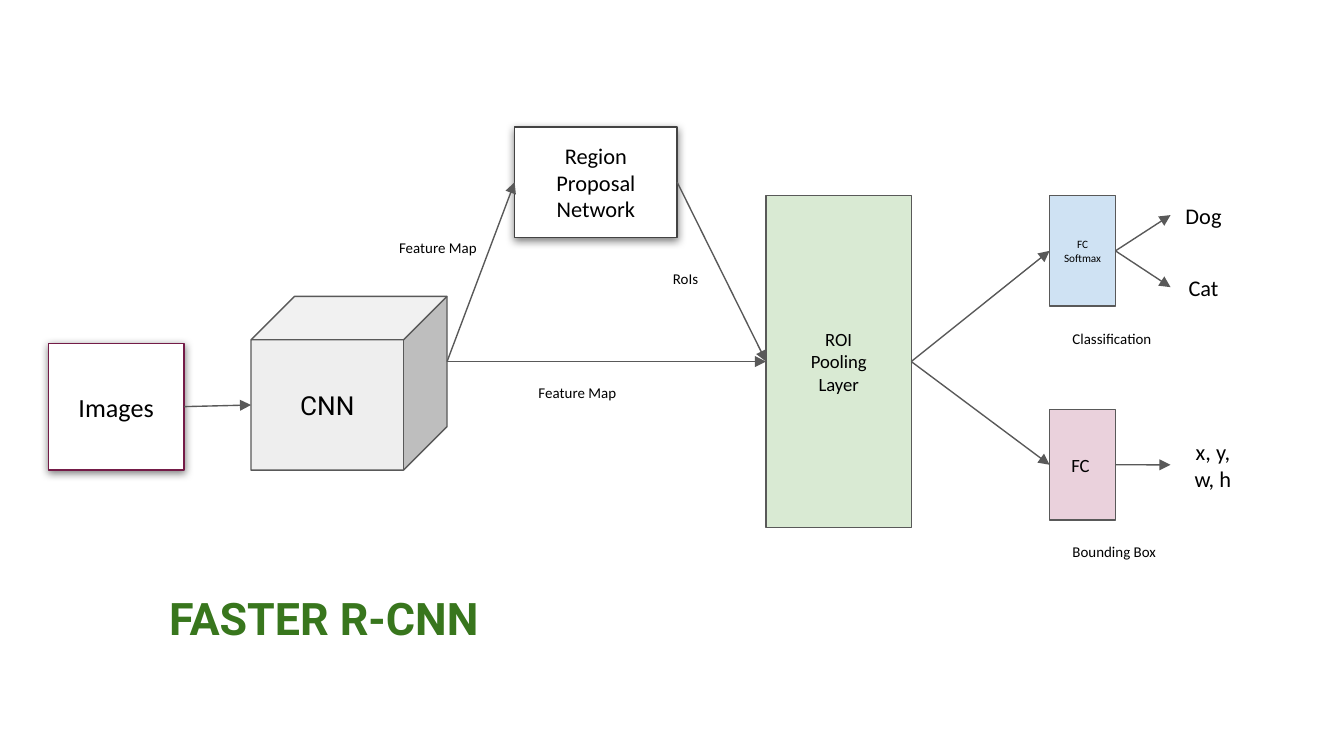
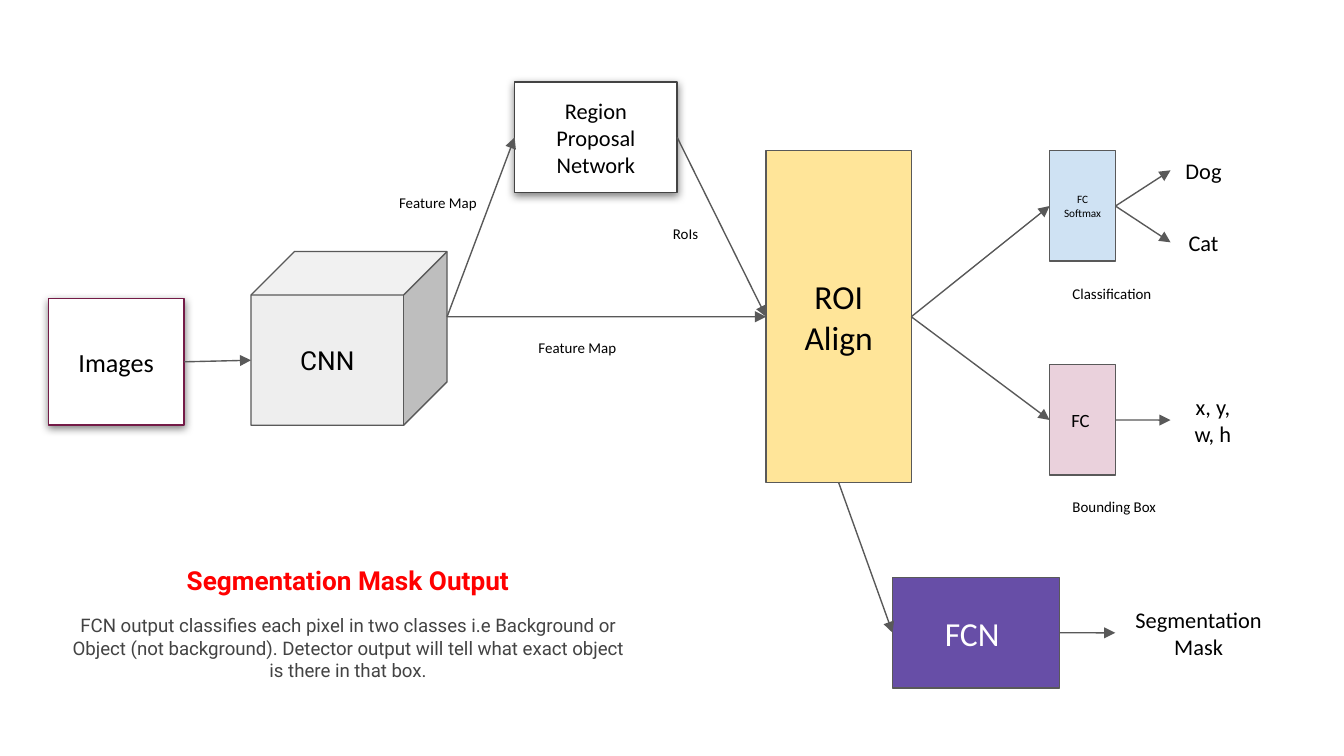
from dataclasses import dataclass, replace
from enum import IntEnum
from typing import Optional

from lxml.etree import SubElement
from pptx import Presentation
from pptx.dml.color import RGBColor
from pptx.enum.shapes import MSO_CONNECTOR as Connector, MSO_SHAPE as Preset
from pptx.enum.text import MSO_ANCHOR as Anchor, PP_ALIGN as Align
from pptx.oxml.ns import qn
from pptx.util import Pt

# Shared colours
WHITE = RGBColor(0xFF, 0xFF, 0xFF)
BLACK = RGBColor(0x00, 0x00, 0x00)
GRAY = RGBColor(0x59, 0x59, 0x59)
DARK_GRAY = RGBColor(0x43, 0x43, 0x43)
LIGHT_GRAY = RGBColor(0xEE, 0xEE, 0xEE)
PLUM = RGBColor(0x74, 0x1B, 0x47)
BLUE = RGBColor(0xCF, 0xE2, 0xF3)
PINK = RGBColor(0xEA, 0xD1, 0xDC)
GREEN = RGBColor(0xD9, 0xEA, 0xD3)
YELLOW = RGBColor(0xFF, 0xE5, 0x99)
PURPLE = RGBColor(0x67, 0x4E, 0xA7)
TITLE_GREEN = RGBColor(0x38, 0x76, 0x1D)
RED = RGBColor(0xFF, 0x00, 0x00)

# Shared measures, in points
LINE_WIDTH = 0.75
INSET = 7.2
LABEL_HEIGHT = 20.9
HEAD_WIDTH, BLOCK_HEIGHT = 35.3, 59.2
HEAD_LEFT, OUTPUT_LEFT, CAPTION_LEFT = 562.3, 627.1, 567.4
CUBE_DEPTH = 0.25
MASK_SHIFT = -24


class Side(IntEnum):
    TOP = 0
    LEFT = 1
    BOTTOM = 2
    RIGHT = 3


@dataclass(frozen=True)
class Style:
    size: float
    font: str = "Calibri"
    color: RGBColor = BLACK
    bold: bool = False
    align: Align = Align.CENTER
    space_before: float = 0


@dataclass(frozen=True)
class Part:
    """A block, or a plain label when it has no fill."""
    name: str
    left: float
    top: float
    width: float
    height: float
    text: str
    styles: tuple[Style, ...]
    fill: Optional[RGBColor] = None
    line: RGBColor = GRAY
    preset: Preset = Preset.RECTANGLE
    shadow: bool = False


@dataclass(frozen=True)
class Arrow:
    start: str
    start_side: Side
    end: str
    end_side: Side


INPUT_STYLE = (Style(14),)
CUBE_STYLE = (Style(14, "Roboto"),)
OUTPUT_STYLE = (Style(12),)
CAPTION_STYLE = (Style(8),)
LEFT_CAPTION_STYLE = (Style(8, align=Align.LEFT),)
BIG_STYLE = (Style(18),)

# The pipeline both slides show, at its height on the first one
PIPELINE = (
    Part("images", 25.9, 183.9, 72.7, 67.9, "Images", INPUT_STYLE, WHITE, PLUM, shadow=True),
    Part("cnn", 134.5, 158.8, 105, 93.1, "CNN", CUBE_STYLE, LIGHT_GRAY, preset=Preset.CUBE),
    Part("proposal", 275.7, 68, 87.1, BLOCK_HEIGHT, "Region Proposal Network",
         OUTPUT_STYLE, WHITE, DARK_GRAY, shadow=True),
    Part("roi", 410.4, 104.8, 77.8, 177.8, "ROI\nPooling\nLayer", (Style(10),), GREEN),
    Part("softmax", HEAD_LEFT, 104.8, HEAD_WIDTH, BLOCK_HEIGHT, "FC Softmax", (Style(6),), BLUE),
    Part("box head", HEAD_LEFT, 219.4, HEAD_WIDTH, BLOCK_HEIGHT, "FC ", (Style(10),), PINK),
    Part("dog", OUTPUT_LEFT, 104.8, HEAD_WIDTH, LABEL_HEIGHT, "Dog", OUTPUT_STYLE),
    Part("cat", OUTPUT_LEFT, 143.4, HEAD_WIDTH, LABEL_HEIGHT, "Cat", OUTPUT_STYLE),
    Part("box", OUTPUT_LEFT, 238.6, 45.4, LABEL_HEIGHT, "x, y, w, h", OUTPUT_STYLE),
    Part("box caption", CAPTION_LEFT, 285, 87.1, LABEL_HEIGHT, "Bounding Box", LEFT_CAPTION_STYLE),
    Part("class caption", CAPTION_LEFT, 171, 87.1, LABEL_HEIGHT, "Classification",
         LEFT_CAPTION_STYLE),
    Part("roi caption", 344.6, 138.5, 45.4, LABEL_HEIGHT, "RoIs", CAPTION_STYLE),
    Part("lower map", 281.4, 199.7, 87.1, LABEL_HEIGHT, "Feature Map", LEFT_CAPTION_STYLE),
    Part("upper map", 203.6, 122, 62, LABEL_HEIGHT, "Feature Map", CAPTION_STYLE),
)
PIPELINE_ARROWS = tuple(
    Arrow(start, Side.RIGHT, end, Side.LEFT)
    for start, end in (
        ("images", "cnn"), ("cnn", "proposal"), ("cnn", "roi"), ("proposal", "roi"),
        ("roi", "softmax"), ("roi", "box head"), ("softmax", "dog"), ("softmax", "cat"),
        ("box head", "box"),
    )
)

# What each slide adds
FASTER_TITLE = Part("title", 17.3, 292.3, 312.5, 77, "FASTER R-CNN",
                    (Style(24, "Roboto", TITLE_GREEN, True),))
MASK_PARTS = (
    Part("title", 30.2, 281.5, 312.5, 104.4,
         "Segmentation Mask Output\n"
         "FCN output classifies each pixel in two classes i.e Background or Object "
         "(not background). Detector output will tell what exact object is there in that box.",
         (Style(14, "Roboto", RED, True), Style(10, "Roboto", DARK_GRAY, space_before=10))),
    Part("fcn", 478.2, 309.4, 89.3, BLOCK_HEIGHT, "FCN ", (Style(18, color=WHITE),), PURPLE),
    Part("mask", 597.5, 328.6, 89.3, LABEL_HEIGHT, "Segmentation Mask", OUTPUT_STYLE),
)
MASK_ARROWS = (
    Arrow("roi", Side.BOTTOM, "fcn", Side.LEFT),
    Arrow("fcn", Side.RIGHT, "mask", Side.LEFT),
)


def set_all(target, values: dict) -> None:
    for attribute, value in values.items():
        setattr(target, attribute, value)


def write_text(frame, part: Part) -> None:
    set_all(frame, {"word_wrap": True, "vertical_anchor": Anchor.MIDDLE})
    set_all(frame, {f"margin_{side}": Pt(INSET) for side in ("left", "top", "right", "bottom")})
    for index, line in enumerate(part.text.split("\n")):
        paragraph = frame.add_paragraph() if index else frame.paragraphs[0]
        style = part.styles[min(index, len(part.styles) - 1)]
        set_all(paragraph, {"alignment": style.align, "space_before": Pt(style.space_before)})
        run = paragraph.add_run()
        run.text = line
        set_all(run.font, {"name": style.font, "size": Pt(style.size), "bold": style.bold})
        run.font.color.rgb = style.color


def add_shadow(shape) -> None:
    effects = shape.element.spPr.find(qn("a:effectLst"))
    shadow = SubElement(effects, qn("a:outerShdw"), blurRad=str(Pt(4.5)), dist=str(Pt(1.5)),
                        dir="5400000", algn="bl", rotWithShape="0")
    color = SubElement(shadow, qn("a:srgbClr"), val=str(BLACK))
    SubElement(color, qn("a:alpha"), val="50000")


def draw_part(slide, part: Part):
    place = [Pt(value) for value in (part.left, part.top, part.width, part.height)]
    if part.fill is None:
        shape = slide.shapes.add_textbox(*place)
    else:
        shape = slide.shapes.add_shape(part.preset, *place)
        shape.shadow.inherit = False
        shape.fill.solid()
        shape.fill.fore_color.rgb = part.fill
        shape.line.color.rgb = part.line
        shape.line.width = Pt(LINE_WIDTH)
        if part.shadow:
            add_shadow(shape)
    write_text(shape.text_frame, part)
    return shape


def side_middle(part: Part, side: Side) -> tuple[float, float]:
    """Middle of a left or right side, allowing for the depth of a cube."""
    middle = part.top + part.height / 2
    if part.preset == Preset.CUBE:
        offset = CUBE_DEPTH * min(part.width, part.height) / 2
        middle += offset if side == Side.LEFT else -offset
    return part.left + (part.width if side == Side.RIGHT else 0), middle


def draw_arrow(slide, arrow: Arrow, parts: dict, shapes: dict) -> None:
    start, end = parts[arrow.start], parts[arrow.end]
    points = (*side_middle(start, arrow.start_side), *side_middle(end, arrow.end_side))
    connector = slide.shapes.add_connector(Connector.STRAIGHT, *(Pt(value) for value in points))
    if start.preset == Preset.RECTANGLE:
        connector.begin_connect(shapes[arrow.start], arrow.start_side.value)
    if end.preset == Preset.RECTANGLE:
        connector.end_connect(shapes[arrow.end], arrow.end_side.value)
    connector.line.color.rgb = GRAY
    connector.line.width = Pt(LINE_WIDTH)
    properties = connector.element.spPr
    SubElement(properties.find(qn("a:ln")), qn("a:tailEnd"), type="triangle")
    SubElement(properties, qn("a:effectLst"))


def draw_slide(presentation, parts: tuple[Part, ...], arrows: tuple[Arrow, ...]) -> None:
    slide = presentation.slides.add_slide(presentation.slide_layouts[6])
    slide.background.fill.solid()
    slide.background.fill.fore_color.rgb = WHITE
    by_name = {part.name: part for part in parts}
    shapes = {part.name: draw_part(slide, part) for part in parts}
    for arrow in arrows:
        draw_arrow(slide, arrow, by_name, shapes)


def main() -> None:
    presentation = Presentation()
    set_all(presentation, {"slide_width": Pt(720), "slide_height": Pt(405)})

    # Faster R-CNN
    draw_slide(presentation, (*PIPELINE, FASTER_TITLE), PIPELINE_ARROWS)

    # Segmentation mask: the pipeline moves up and its pooling block changes
    raised = (replace(part, top=part.top + MASK_SHIFT) for part in PIPELINE)
    aligned = tuple(
        replace(part, text="ROI\nAlign", styles=BIG_STYLE, fill=YELLOW)
        if part.name == "roi" else part
        for part in raised
    )
    draw_slide(presentation, aligned + MASK_PARTS, PIPELINE_ARROWS + MASK_ARROWS)

    presentation.save("out.pptx")


if __name__ == "__main__":
    main()
